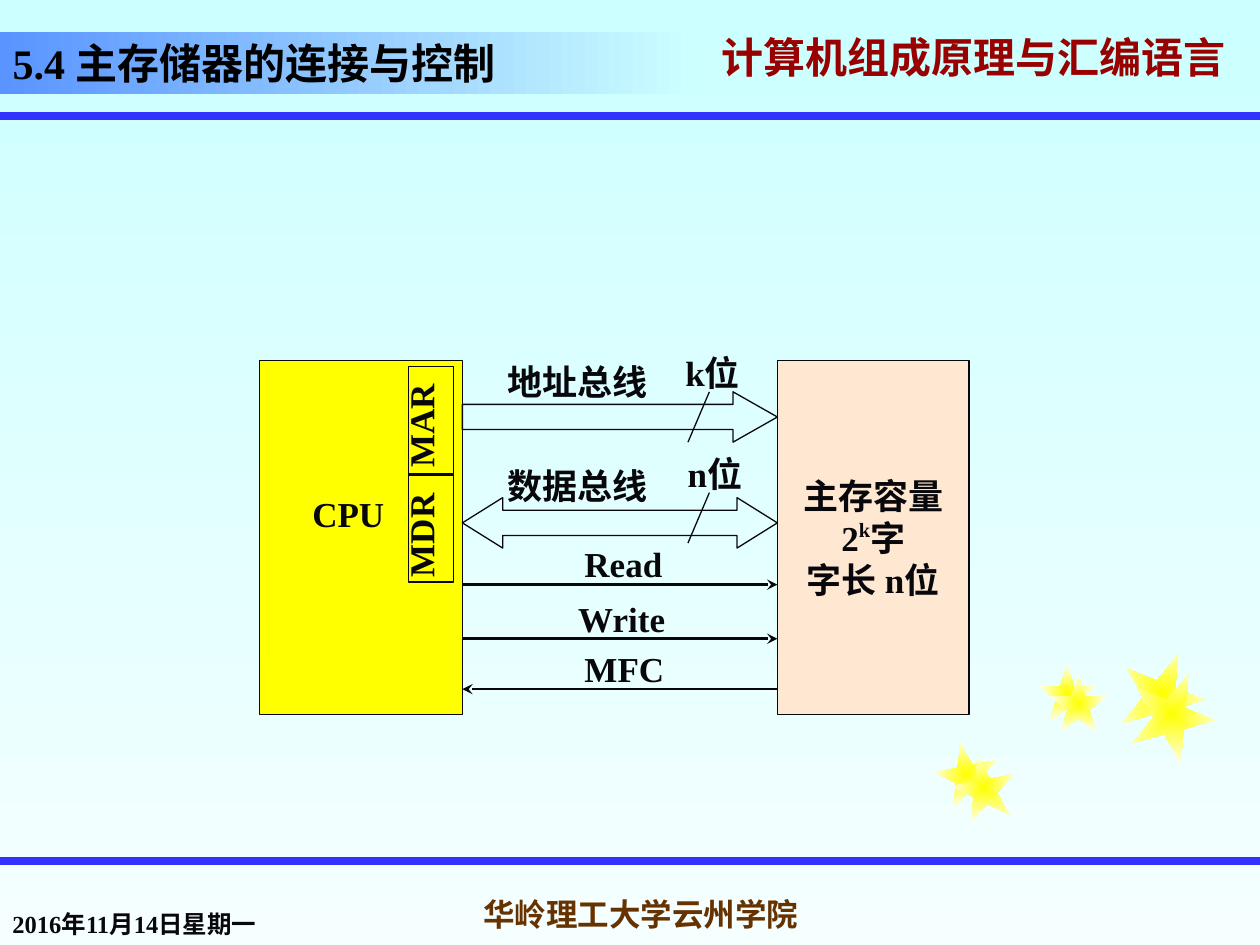
from dataclasses import dataclass
from lxml.etree import SubElement
from pptx import Presentation
from pptx.dml.color import RGBColor
from pptx.enum.shapes import MSO_CONNECTOR, MSO_SHAPE
from pptx.enum.text import MSO_ANCHOR, MSO_AUTO_SIZE, PP_ALIGN
from pptx.oxml.ns import qn
from pptx.util import Inches, Pt


@dataclass(frozen=True)
class Theme:
    ink: str = "08080C"
    black: str = "000000"
    red: str = "990000"
    brown: str = "663300"
    blue: str = "3333FF"
    cpu: str = "FFFF00"
    store: str = "FFE8D1"
    sky: tuple = ("CCFFFF", "F5FFFF")
    band: tuple = ("5994FF", "CCFFFF")
    glow: tuple = ("FFFF00", "FFFFF5")
    latin: str = "Times New Roman"
    asian: str = "Noto Sans CJK SC"
    head: int = 24
    body: int = 20
    foot: int = 18
    date: int = 14


def color(code):
    return RGBColor.from_string(code)


def blend(fill, pair, angle=0):
    fill.gradient()
    fill.gradient_angle = angle
    for stop, code, place in zip(fill.gradient_stops, pair, (0, 1)):
        stop.color.rgb = color(code)
        stop.position = place


def write(frame, text, *, theme, size, tint, align=PP_ALIGN.LEFT,
          anchor=MSO_ANCHOR.TOP, wrap=True, space=None, shade=False):
    frame.auto_size = MSO_AUTO_SIZE.NONE
    frame.word_wrap = wrap
    frame.vertical_anchor = anchor
    for row, line in enumerate(text.split("\n")):
        para = frame.add_paragraph() if row else frame.paragraphs[0]
        para.alignment = align
        if space:
            para.line_spacing = space
        for part, piece in enumerate(line.split("^")):
            run = para.add_run()
            run.text = piece
            font = run.font
            font.size, font.bold = Pt(size), True
            font.color.rgb = color(tint)
            props = run._r.get_or_add_rPr()
            if part % 2:
                props.set("baseline", "40000")
            if shade:
                effect = SubElement(props, qn("a:effectLst"))
                drop = SubElement(effect, qn("a:outerShdw"), dist="35921", dir="2700000")
                SubElement(drop, qn("a:srgbClr"), val="808080")
            font.name = theme.latin
            SubElement(props, qn("a:ea"), typeface=theme.asian)


class Page:
    def __init__(self, deck, theme):
        self.theme = theme
        self.slide = deck.slides.add_slide(deck.slide_layouts[5])
        self.shapes = self.slide.shapes
        blend(self.slide.background.fill, theme.sky, 270)

    def place(self, item, box):
        item.left, item.top, item.width, item.height = map(Inches, box)

    def title(self, text, box):
        item = self.shapes.title
        self.place(item, box)
        blend(item.fill, self.theme.band)
        write(item.text_frame, text, theme=self.theme, size=self.theme.head,
              tint=self.theme.black, anchor=MSO_ANCHOR.BOTTOM)

    def shape(self, kind, box, fill=None, adjust=()):
        item = self.shapes.add_shape(kind, *map(Inches, box))
        item.shadow.inherit = False
        if fill:
            item.fill.solid()
            item.fill.fore_color.rgb = color(fill)
        else:
            item.fill.background()
        item.line.color.rgb = color(self.theme.ink)
        item.line.width = Pt(0.75)
        for spot, value in enumerate(adjust):
            item.adjustments[spot] = value
        return item

    def star(self, left, top, size, turn):
        item = self.shape(MSO_SHAPE.STAR_5_POINT, (left, top, size, size))
        item.line.fill.background()
        item.rotation = turn
        blend(item.fill, self.theme.glow)
        grad = item.element.spPr.find(qn("a:gradFill"))
        grad.remove(grad.find(qn("a:lin")))
        path = SubElement(grad, qn("a:path"))
        path.set("path", "shape")
        SubElement(path, qn("a:fillToRect"), dict.fromkeys("ltrb", "50000"))

    def line(self, start, end, tint, width, arrow=False):
        item = self.shapes.add_connector(MSO_CONNECTOR.STRAIGHT, *map(Inches, start + end))
        item.line.color.rgb = color(tint)
        item.line.width = Pt(width)
        if arrow:
            SubElement(item.line._get_or_add_ln(), qn("a:tailEnd"), type="stealth")
        SubElement(item.element.spPr, qn("a:effectLst"))

    def text(self, text, box, turned=False, **style):
        item = self.shapes.add_textbox(*map(Inches, box))
        style = {"size": self.theme.body, "tint": self.theme.ink} | style
        write(item.text_frame, text, theme=self.theme, **style)
        if turned:
            item.rotation = 180
            item.text_frame._txBody.find(qn("a:bodyPr")).set("vert", "eaVert")


def frame(page):
    theme = page.theme
    page.title("5.4 主存储器的连接与控制", (0, 0.25, 5.5, 0.5))
    page.text("计算机组成原理与汇编语言", (5.63, 0.25, 4.37, 0.5), size=theme.head,
              tint=theme.red, anchor=MSO_ANCHOR.MIDDLE, space=0.7, shade=True)
    for top in (0.92, 6.83):
        page.line((0, top), (10, top), theme.blue, 4.5)
    pairs = ((7.42, 5.89, 0.5, 349, 0.14, 0.11),
             (8.24, 5.27, 0.46, 0, 0.09, 0.08),
             (8.89, 5.17, 0.67, 22, 0.08, 0.16))
    for left, top, size, turn, right, down in pairs:
        page.star(left, top, size, turn)
        page.star(left + right, top + down, size, turn)
    page.text("2016年11月14日星期一", (0, 7, 2.24, 0.5), size=theme.date,
              anchor=MSO_ANCHOR.BOTTOM)
    page.text("华岭理工大学云州学院", (3.5, 7, 3.17, 0.5), size=theme.foot, tint=theme.brown,
              align=PP_ALIGN.CENTER, anchor=MSO_ANCHOR.MIDDLE, wrap=False)


def diagram(page):
    theme = page.theme
    left, right = 3.67, 6.17
    page.shape(MSO_SHAPE.RECTANGLE, (2.06, 2.86, 1.61, 2.81), theme.cpu)
    store = page.shape(MSO_SHAPE.RECTANGLE, (right, 2.86, 1.52, 2.81), theme.store)
    write(store.text_frame, "主存容量\n2^k^字\n字长 n位", theme=theme, size=theme.body,
          tint=theme.ink, align=PP_ALIGN.CENTER, anchor=MSO_ANCHOR.MIDDLE, wrap=False)
    buses = ((MSO_SHAPE.RIGHT_ARROW, 3.11, (0.5, 0.88), "地址总线", 2.81, "k位", 5.34, 2.74),
             (MSO_SHAPE.LEFT_RIGHT_ARROW, 3.95, (0.5, 0.8), "数据总线", 3.64, "n位", 5.36, 3.54))
    for kind, top, adjust, name, high, bits, side, peak in buses:
        page.shape(kind, (left, top, right - left, 0.4), adjust=adjust)
        slash = peak + 0.37
        page.line((5.63, slash), (5.46, slash + 0.4), theme.ink, 0.75)
        page.text(name, (3.93, high, 2.32, 0.43))
        page.text(bits, (side, peak, 1.61, 0.43))
    signals = (("Read", 4.54, 4.26, 4.64, left, right),
               ("Write", 4.49, 4.69, 5.07, left, right),
               ("MFC", 4.54, 5.09, 5.47, right, left))
    for name, side, top, level, start, end in signals:
        page.line((start, level), (end, level), theme.ink, 1.5, arrow=True)
        page.text(name, (side, top, 1.61, 0.43))
    page.text("CPU", (2.38, 3.86, 1.25, 0.43))
    for name, top, high in (("MAR", 2.91, 2.2), ("MDR", 3.76, 3.07)):
        page.shape(MSO_SHAPE.RECTANGLE, (3.24, top, 0.36, 0.86))
        page.text(name, (3.12, high, 0.53, 1.61), turned=True)


def main():
    deck = Presentation()
    deck.slide_width, deck.slide_height = Inches(10), Inches(7.5)
    page = Page(deck, Theme())
    frame(page)
    diagram(page)
    deck.save("out.pptx")


if __name__ == "__main__":
    main()
